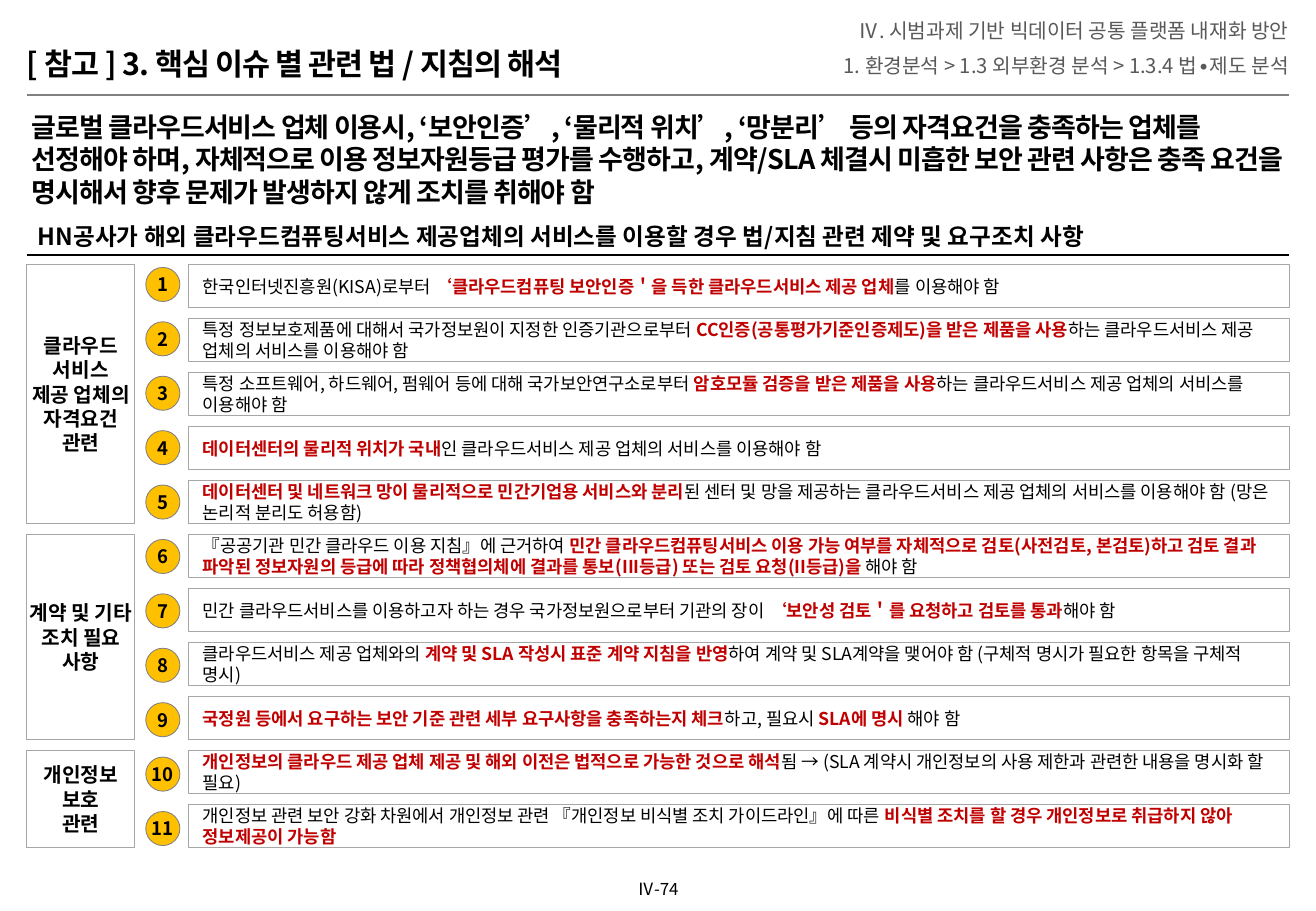
from lxml import etree
from pptx import Presentation
from pptx.dml.color import RGBColor
from pptx.enum import shapes, text
from pptx.oxml import ns
from pptx.util import Pt

FONT = "Noto Sans CJK KR"
BLACK = RGBColor(0, 0, 0)
WHITE = RGBColor(255, 255, 255)
RED = RGBColor(0xC0, 0, 0)
AMBER = RGBColor(0xFF, 0xC0, 0)
DARK_GRAY = RGBColor(0x59, 0x59, 0x59)
GRAY = RGBColor(0x80, 0x80, 0x80)
LIGHT_GRAY = RGBColor(0xA6, 0xA6, 0xA6)

TITLE = "[ 참고 ] 3. 핵심 이슈 별 관련 법 / 지침의 해석"
BREADCRUMB = [
    "Ⅳ. 시범과제 기반 빅데이터 공통 플랫폼 내재화 방안",
    "1. 환경분석 > 1.3 외부환경 분석 > 1.3.4 법∙제도 분석",
]
MESSAGE = (
    "글로벌 클라우드서비스 업체 이용시, ‘보안인증’, ‘물리적 위치’, ‘망분리’ 등의 자격요건을 "
    "충족하는 업체를 선정해야 하며, 자체적으로 이용 정보자원등급 평가를 수행하고, 계약/SLA 체결시 "
    "미흡한 보안 관련 사항은 충족 요건을 명시해서 향후 문제가 발생하지 않게 조치를 취해야 함"
)
SUBTITLE = "HN공사가 해외 클라우드컴퓨팅서비스 제공업체의 서비스를 이용할 경우 법/지침 관련 제약 및 요구조치 사항"
PAGE = "Ⅳ-74"

# Text between bars is emphasised.
GROUPS = [
    (["클라우드", "서비스", "제공 업체의 자격요건 관련"], [
        "한국인터넷진흥원(KISA)로부터 |‘클라우드컴퓨팅 보안인증＇을 득한 클라우드서비스 제공 업체|를 이용해야 함",
        "특정 정보보호제품에 대해서 국가정보원이 지정한 인증기관으로부터 "
        "|CC인증(공통평가기준인증제도)을 받은 제품을 사용|하는 클라우드서비스 제공 업체의 서비스를 이용해야 함",
        "특정 소프트웨어, 하드웨어, 펌웨어 등에 대해 국가보안연구소로부터 "
        "|암호모듈 검증을 받은 제품을 사용|하는 클라우드서비스 제공 업체의 서비스를 이용해야 함",
        "|데이터센터의 물리적 위치가 국내|인 클라우드서비스 제공 업체의 서비스를 이용해야 함",
        "|데이터센터 및 네트워크 망이 물리적으로 민간기업용 서비스와 분리|된 센터 및 망을 제공하는 "
        "클라우드서비스 제공 업체의 서비스를 이용해야 함 (망은 논리적 분리도 허용함)",
    ]),
    (["계약 및 기타 조치 필요 사항"], [
        "『공공기관 민간 클라우드 이용 지침』에 근거하여 |민간 클라우드컴퓨팅서비스 이용 가능 여부를 "
        "자체적으로 검토(사전검토, 본검토)하고 검토 결과 파악된 정보자원의 등급에 따라 정책협의체에 "
        "결과를 통보(III등급) 또는 검토 요청(II등급)을 |해야 함",
        "민간 클라우드서비스를 이용하고자 하는 경우 국가정보원으로부터 기관의 장이 "
        "|‘보안성 검토＇를 요청하고 검토를 통과|해야 함",
        "클라우드서비스 제공 업체와의 |계약 및 SLA 작성시 표준 계약 지침을 반영|하여 "
        "계약 및 SLA계약을 맺어야 함 (구체적 명시가 필요한 항목을 구체적 명시)",
        "|국정원 등에서 요구하는 보안 기준 관련 세부 요구사항을 충족하는지 체크|하고, 필요시 |SLA에 명시 |해야 함",
    ]),
    (["개인정보", "보호", "관련"], [
        "|개인정보의 클라우드 제공 업체 제공 및 해외 이전은 법적으로 가능한 것으로 해석|됨 → "
        "(SLA 계약시 개인정보의 사용 제한과 관련한 내용을 명시화 할 필요)",
        "개인정보 관련 보안 강화 차원에서 개인정보 관련 『개인정보 비식별 조치 가이드라인』에 따른 "
        "|비식별 조치를 할 경우 개인정보로 취급하지 않아 정보제공이 가능함",
    ]),
]

LEFT, RIGHT = 16, 764
ROW_TOP, ROW_PITCH, ROW_HEIGHT = 157, 32, 25.2
GROUP_WIDTH, ROW_LEFT = 64, 111.6
BADGE_LEFT, BADGE_TOP, BADGE_PITCH, BADGE_SIZE = 86.4, 158.5, 32.25, 20.2

MIDDLE, TOP = text.MSO_ANCHOR.MIDDLE, text.MSO_ANCHOR.TOP
ALIGN = text.PP_ALIGN

deck = Presentation()
deck.slide_width, deck.slide_height = Pt(780), Pt(540)
slide = deck.slides.add_slide(deck.slide_layouts[6])


def write(owner, lines, size, bold=False, color=BLACK, align=ALIGN.LEFT,
          anchor=MIDDLE, inset=(0, 0), wrap=True, spacing=None, tracking=None, gap=0):
    frame = owner.text_frame
    frame.word_wrap = wrap
    frame.vertical_anchor = anchor
    frame.margin_left = frame.margin_right = Pt(inset[0])
    frame.margin_top = frame.margin_bottom = Pt(inset[1])
    for index, line in enumerate(lines):
        paragraph = frame.add_paragraph() if index else frame.paragraphs[0]
        paragraph.alignment = align
        if spacing:
            paragraph.line_spacing = spacing
        if index and gap:
            paragraph.space_before = Pt(gap)
        font = paragraph.font
        font.size, font.bold, font.name = Pt(size), bold, FONT
        font.color.rgb = color
        properties = paragraph._p.pPr.find(ns.qn("a:defRPr"))
        etree.SubElement(properties, ns.qn("a:ea")).set("typeface", FONT)
        if tracking:
            properties.set("spc", str(tracking))
        for part, words in enumerate(line.split("|")):
            if words:
                run = paragraph.add_run()
                run.text = words
                if part % 2:
                    run.font.bold = True
                    run.font.color.rgb = RED


def label(box, lines, size, **style):
    write(slide.shapes.add_textbox(*map(Pt, box)), lines, size, **style)


def panel(kind, box, fill, outline, lines, size, **style):
    shape = slide.shapes.add_shape(kind, *map(Pt, box))
    shape.shadow.inherit = False
    shape.fill.solid()
    shape.fill.fore_color.rgb = fill
    shape.line.color.rgb = outline
    shape.line.width = Pt(0.5)
    write(shape, lines, size, **style)


def rule(y, color, width):
    line = slide.shapes.add_connector(
        shapes.MSO_CONNECTOR.STRAIGHT, Pt(LEFT), Pt(y), Pt(RIGHT), Pt(y))
    line.line.color.rgb = color
    line.line.width = Pt(width)
    etree.SubElement(line._element.spPr, ns.qn("a:effectLst"))


rule(56.4, GRAY, 1.5)
rule(151, BLACK, 1)
label((LEFT, 23.8, 561.6, 27.4), [TITLE], 18, bold=True, tracking=-50)
label((463, 10, 301, 38.2), BREADCRUMB, 12, color=DARK_GRAY, align=ALIGN.RIGHT,
      anchor=TOP, spacing=1.05, gap=6)
label((18.7, 62, 742.3, 65.5), [MESSAGE], 16, bold=True, anchor=TOP,
      inset=(0, 3.6), tracking=-50)
label((19.5, 128.2, 709.2, 23), [SUBTITLE], 14, bold=True, inset=(2.9, 2.9))
label((372.3, 517, 35.3, 19.4), [PAGE], 10, align=ALIGN.CENTER, anchor=TOP,
      inset=(4.3, 3.6), wrap=False)

RECTANGLE, OVAL = shapes.MSO_SHAPE.RECTANGLE, shapes.MSO_SHAPE.OVAL
row = 0
for heading, requirements in GROUPS:
    group_height = (len(requirements) - 1) * ROW_PITCH + ROW_HEIGHT
    panel(RECTANGLE, (LEFT, ROW_TOP + row * ROW_PITCH, GROUP_WIDTH, group_height),
          WHITE, LIGHT_GRAY, heading, 12, bold=True, align=ALIGN.CENTER)
    for requirement in requirements:
        panel(RECTANGLE, (ROW_LEFT, ROW_TOP + row * ROW_PITCH, RIGHT - ROW_LEFT, ROW_HEIGHT),
              WHITE, LIGHT_GRAY, [requirement], 10.5, inset=(8.6, 0))
        panel(OVAL, (BADGE_LEFT, BADGE_TOP + row * BADGE_PITCH, BADGE_SIZE, BADGE_SIZE),
              AMBER, GRAY, [str(row + 1)], 11, bold=True, align=ALIGN.CENTER, wrap=False)
        row += 1

deck.save("out.pptx")
